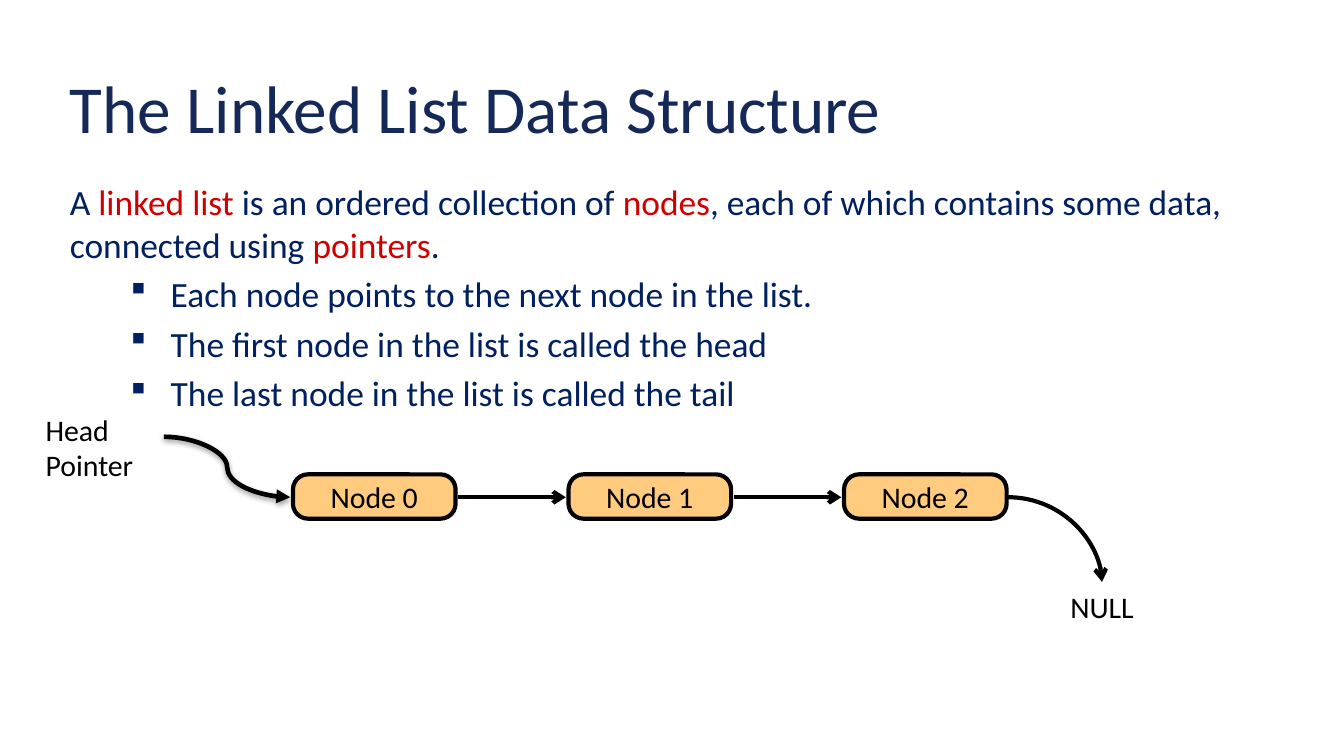
import pptx
import pptx.util
import pptx.dml.color
import pptx.enum.shapes
import pptx.enum.text
import pptx.oxml
import pptx.oxml.ns

Inches = pptx.util.Inches
Pt = pptx.util.Pt
COLORS = {"title": "142958", "body": "002060", "key": "CE0000", "node": "FF9900", "ink": "000000"}
NAMESPACE = pptx.oxml.ns.nsdecls("a")

presentation = pptx.Presentation()
presentation.slide_width = Inches(10)
presentation.slide_height = Inches(10) * 9 // 16
slide = presentation.slides.add_slide(presentation.slide_layouts[6])


def write_text(shape, paragraphs, size, frame_format, paragraph_format):
    frame = shape.text_frame
    for name, value in frame_format.items():
        setattr(frame, name, value)
    for index, runs in enumerate(paragraphs):
        paragraph = frame.paragraphs[0] if index == 0 else frame.add_paragraph()
        for name, value in paragraph_format.items():
            setattr(paragraph, name, value)
        for text, color in runs:
            run = paragraph.add_run()
            run.text = text
            for name, value in {"name": "Calibri", "size": Pt(size)}.items():
                setattr(run.font, name, value)
            run.font.color.rgb = pptx.dml.color.RGBColor.from_string(COLORS[color])


def add_arrow(kind, start, end, width, head, effects=""):
    points = [Inches(value) for value in (*start, *end)]
    connector = slide.shapes.add_connector(kind, *points)
    connector.line.width = Pt(width)
    connector.line.color.rgb = pptx.dml.color.RGBColor.from_string(COLORS["ink"])
    connector.line._get_or_add_ln().append(
        pptx.oxml.parse_xml(f'<a:tailEnd {NAMESPACE} type="{head}"/>'))
    connector._element.spPr.append(
        pptx.oxml.parse_xml(f"<a:effectLst {NAMESPACE}>{effects}</a:effectLst>"))
    return connector


CONNECTOR = pptx.enum.shapes.MSO_CONNECTOR
CENTER = {"alignment": pptx.enum.text.PP_ALIGN.CENTER}
INSETS = {
    "word_wrap": True,
    "margin_left": Inches(0.08), "margin_right": Inches(0.08),
    "margin_top": Inches(0.04), "margin_bottom": Inches(0.04),
}

title = slide.shapes.add_textbox(Inches(0.44), Inches(0.45), Inches(9.19), Inches(0.54))
write_text(title, [[("The Linked List Data Structure", "title")]], 36, INSETS, {})

definition = [
    ("A ", "body"), ("linked list", "key"), (" is an ordered collection of ", "body"),
    ("nodes", "key"), (", each of which contains some data, connected using ", "body"),
    ("pointers", "key"), (".", "body"),
]
bullets = [
    "Each node points to the next node in the list.",
    "The first node in the list is called the head",
    "The last node in the list is called the tail",
]
body = slide.shapes.add_textbox(Inches(0.44), Inches(1.3), Inches(9.19), Inches(3.49))
write_text(body, [definition] + [[(bullet, "body")] for bullet in bullets], 19, INSETS, {})
for paragraph in body.text_frame.paragraphs[1:]:
    paragraph.level = 1
    paragraph.space_before = Pt(3.8)
    properties = paragraph._p.get_or_add_pPr()
    properties.set("marL", str(Inches(0.75)))
    properties.set("indent", str(Inches(-0.3)))
    properties.append(pptx.oxml.parse_xml(f'<a:buFont {NAMESPACE} typeface="Wingdings" charset="2"/>'))
    properties.append(pptx.oxml.parse_xml(f'<a:buChar {NAMESPACE} char="§"/>'))

node_left, node_top, node_width, node_height, node_pitch = 2.18, 3.53, 1.21, 0.33, 2.05
node_count, arrow_y, arrow_gap = 3, 3.7, 0.02
for index in range(node_count):
    left = node_left + index * node_pitch
    node = slide.shapes.add_shape(
        pptx.enum.shapes.MSO_SHAPE.ROUNDED_RECTANGLE,
        Inches(left), Inches(node_top), Inches(node_width), Inches(node_height))
    node.adjustments[0] = 0.34
    node.shadow.inherit = False
    node.fill.solid()
    node.fill.fore_color.rgb = pptx.dml.color.RGBColor.from_string(COLORS["node"])
    fill_color = node._element.spPr.find(".//" + pptx.oxml.ns.qn("a:srgbClr"))
    fill_color.append(pptx.oxml.parse_xml(f'<a:alpha {NAMESPACE} val="50000"/>'))
    node.line.width = Pt(2.25)
    node.line.color.rgb = pptx.dml.color.RGBColor.from_string(COLORS["ink"])
    write_text(node, [[(f"Node {index}", "ink")]], 16, {
        "word_wrap": False, "vertical_anchor": pptx.enum.text.MSO_ANCHOR.MIDDLE}, CENTER)
    if index < node_count - 1:
        add_arrow(CONNECTOR.STRAIGHT, (left + node_width + arrow_gap, arrow_y),
                  (left + node_pitch - arrow_gap, arrow_y), 2.25, "arrow")

null_label = slide.shapes.add_textbox(Inches(7.86), Inches(4.33), Inches(0.68), Inches(0.37))
write_text(null_label, [[("NULL", "ink")]], 16, {"word_wrap": False}, CENTER)

null_arrow = add_arrow(CONNECTOR.CURVE, (7.5, arrow_y), (8.2, 4.33), 2.25, "arrow")
null_arrow._element.spPr.find(pptx.oxml.ns.qn("a:prstGeom")).set("prst", "curvedConnector2")

shadow = (f'<a:outerShdw blurRad="{Pt(3.1)}" dist="{Pt(1.6)}" dir="5400000" rotWithShape="0">'
          f'<a:srgbClr val="{COLORS["ink"]}"><a:alpha val="38000"/></a:srgbClr></a:outerShdw>')
add_arrow(CONNECTOR.CURVE, (1.22, 3.25), (2.16, arrow_y), 2.5, "triangle", shadow)

head_label = slide.shapes.add_textbox(Inches(0.26), Inches(3.02), Inches(1.05), Inches(0.62))
write_text(head_label, [[("Head Pointer", "ink")]], 16, INSETS, {})

presentation.save("out.pptx")
